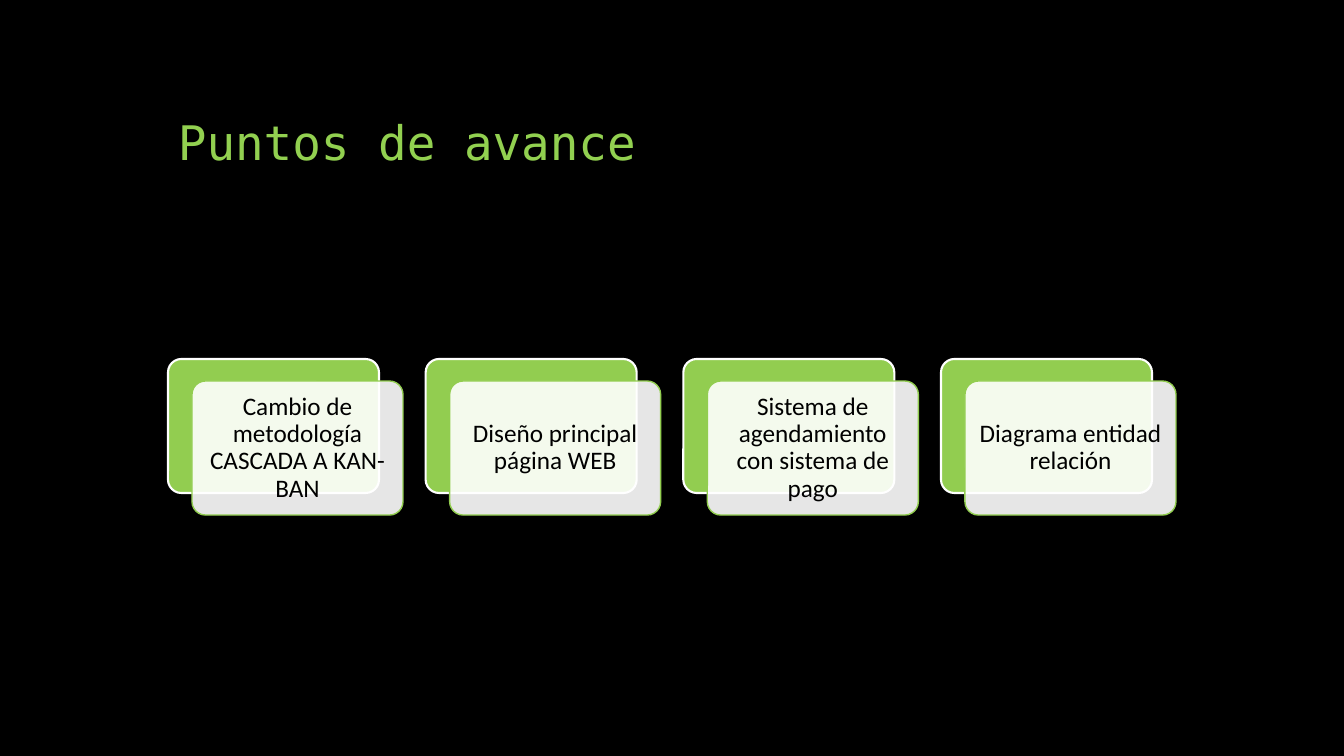
from lxml.etree import SubElement
from pptx import Presentation
from pptx.dml.color import RGBColor
from pptx.enum.shapes import MSO_SHAPE
from pptx.enum.text import MSO_ANCHOR, PP_ALIGN
from pptx.oxml.ns import qn
from pptx.util import Emu, Pt

# Content
TITLE = "Puntos de avance"
ADVANCES = [
    "Cambio de metodología CASCADA A KAN-BAN",
    "Diseño principal página WEB",
    "Sistema de agendamiento con sistema de pago",
    "Diagrama entidad relación",
]

BLACK = RGBColor(0x00, 0x00, 0x00)
WHITE = RGBColor(0xFF, 0xFF, 0xFF)
TITLE_GREEN = RGBColor(0x92, 0xD0, 0x50)
CARD_GREEN = RGBColor(0x92, 0xCD, 0x50)

# Layout in px
SLIDE_WIDTH, SLIDE_HEIGHT = 1344, 756
TITLE_BOX = (168, 50, 1008, 126)
ROW_LEFT, ROW_RIGHT, ROW_TOP = 168, 1176, 359
CARD_WIDTH, CARD_HEIGHT = 211, 134
SHIFT_X, SHIFT_Y = 24, 22
TEXT_MARGIN = 4
PITCH = (ROW_RIGHT - ROW_LEFT - SHIFT_X - CARD_WIDTH) / (len(ADVANCES) - 1)


def px(length):
    return Emu(round(length * 914400 / 100.8))


def add_card(slide, left, top, fill, line, line_width):
    card = slide.shapes.add_shape(
        MSO_SHAPE.ROUNDED_RECTANGLE, *map(px, (left, top, CARD_WIDTH, CARD_HEIGHT)))
    card.adjustments[0] = 0.1
    card.shadow.inherit = False
    card.fill.solid()
    card.fill.fore_color.rgb = fill
    card.line.color.rgb = line
    card.line.width = Pt(line_width)
    return card


def set_opacity(shape, percent):
    color = shape.fill._xPr.find(qn("a:solidFill"))[0]
    SubElement(color, qn("a:alpha"), val=str(percent * 1000))


def add_text(slide, box, text, font, size, color, align, anchor, inset_x, inset_y):
    frame = slide.shapes.add_textbox(*map(px, box)).text_frame
    frame.word_wrap = True
    frame.vertical_anchor = anchor
    frame.margin_left = frame.margin_right = px(inset_x)
    frame.margin_top = frame.margin_bottom = px(inset_y)
    paragraph = frame.paragraphs[0]
    paragraph.alignment = align
    paragraph.line_spacing = 0.9
    run = paragraph.add_run()
    run.text = text
    run.font.name = font
    run.font.size = Pt(size)
    run.font.color.rgb = color


def main():
    presentation = Presentation()
    presentation.slide_width = px(SLIDE_WIDTH)
    presentation.slide_height = px(SLIDE_HEIGHT)
    slide = presentation.slides.add_slide(presentation.slide_layouts[6])
    slide.background.fill.solid()
    slide.background.fill.fore_color.rgb = BLACK

    # Title
    add_text(slide, TITLE_BOX, TITLE, "DejaVu Sans Mono", 34, TITLE_GREEN,
             PP_ALIGN.LEFT, MSO_ANCHOR.BOTTOM, 10, 5)

    # Row of cards: green back, translucent front, text
    for index, advance in enumerate(ADVANCES):
        left = ROW_LEFT + index * PITCH
        front_left, front_top = left + SHIFT_X, ROW_TOP + SHIFT_Y
        add_card(slide, left, ROW_TOP, CARD_GREEN, WHITE, 1.5)
        front = add_card(slide, front_left, front_top, WHITE, CARD_GREEN, 1)
        set_opacity(front, 90)
        text_box = (front_left + TEXT_MARGIN, front_top + TEXT_MARGIN,
                    CARD_WIDTH - 2 * TEXT_MARGIN, CARD_HEIGHT - 2 * TEXT_MARGIN)
        add_text(slide, text_box, advance, "Calibri", 18, BLACK,
                 PP_ALIGN.CENTER, MSO_ANCHOR.MIDDLE, 7, 7)

    presentation.save("out.pptx")


if __name__ == "__main__":
    main()
